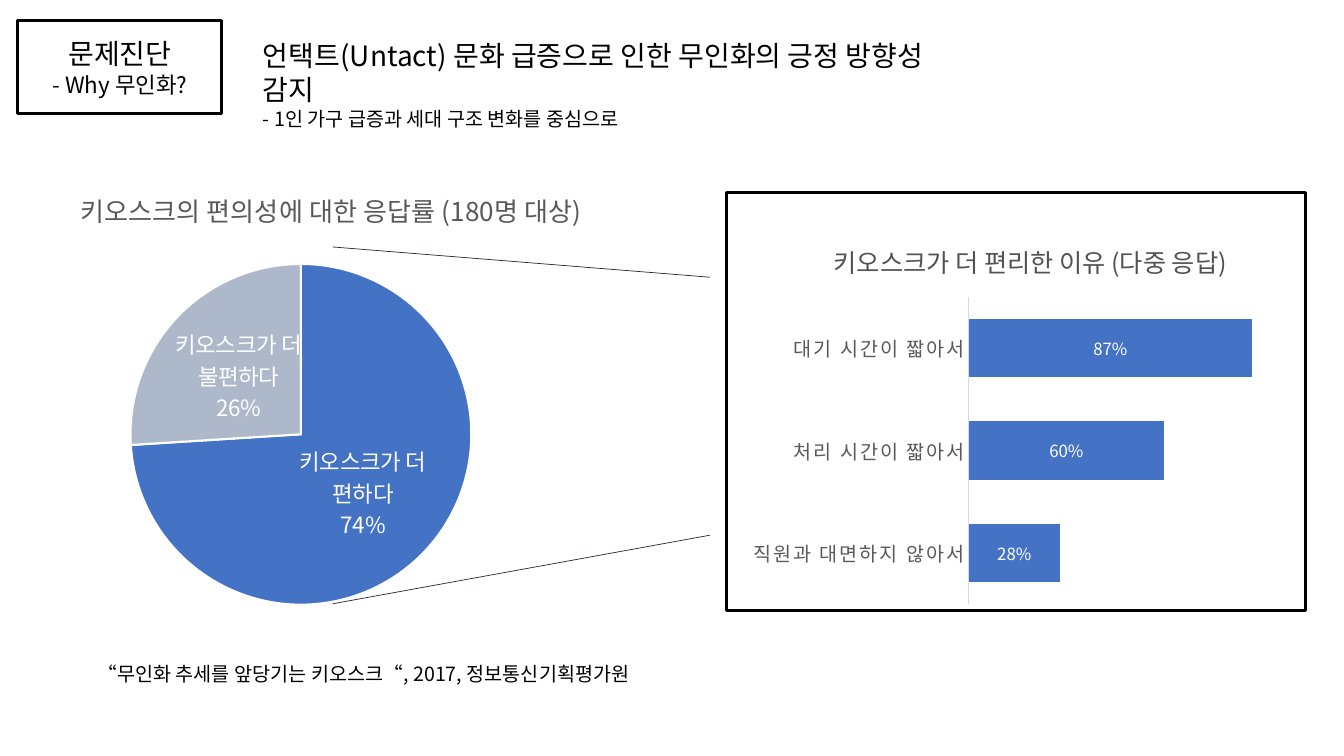
from lxml import etree
from pptx import Presentation
from pptx.chart.data import CategoryChartData
from pptx.dml.color import RGBColor
from pptx.enum.chart import XL_CHART_TYPE as ChartType
from pptx.enum.chart import XL_LABEL_POSITION as LabelPosition
from pptx.enum.chart import XL_TICK_MARK as TickMark
from pptx.enum.shapes import MSO_CONNECTOR as Connector
from pptx.enum.shapes import MSO_SHAPE as Shape
from pptx.enum.text import PP_ALIGN as Align
from pptx.oxml.ns import qn
from pptx.util import Inches, Pt

# Content
FONT = "Noto Sans CJK KR"
COLORS = {
    "black": "000000", "white": "FFFFFF", "blue": "4472C4", "pale": "ADB9CA",
    "grey": "595959", "caption": "525252", "axis": "D9D9D9", "guide": "222A35",
}
# (left, top, width, height), alignment, colour, [(text, size)]
TEXTS = [
    ((2.51, 0.33, 7.2, 0.67), Align.LEFT, "black",
     [("언택트(Untact) 문화 급증으로 인한 무인화의 긍정 방향성 감지", 20),
      ("- 1인 가구 급증과 세대 구조 변화를 중심으로", 14)]),
    ((0.87, 6.51, 9.3, 0.34), Align.LEFT, "black",
     [("“무인화 추세를 앞당기는 키오스크“, 2017, 정보통신기획평가원", 14)]),
    ((8.17, 2.4, 4.78, 0.4), Align.LEFT, "caption",
     [("키오스크가 더 편리한 이유 (다중 응답)", 18)]),
    ((0.23, 0.31, 1.92, 0.71), Align.CENTER, "black",
     [("문제진단", 20), ("- Why 무인화?", 16)]),
]
REASONS = {"대기 시간이 짧아서": 0.87, "처리 시간이 짧아서": 0.6, "직원과 대면하지 않아서": 0.28}
ANSWERS = {"키오스크가 더 편하다": 74, "키오스크가 더 불편하다": 26}
ANSWER_COLORS = ["blue", "pale"]
PIE_TITLE = "키오스크의 편의성에 대한 응답률 (180명 대상)"

# Places
BAR_AREA = (7.38, 2.88, 5.57, 3.18)
PIE_AREA = (-0.62, 1.63, 7.21, 4.6)
FRAMES = [(0.17, 0.2, 2.03, 0.93), (7.21, 1.91, 5.74, 4.15)]
GUIDE_ENDS = (3.3, 7.04)
GUIDE_HEIGHTS = [(2.45, 2.75), (5.99, 5.31)]
LINE_HEIGHT = 1.22


def color(name):
    return RGBColor.from_string(COLORS[name])


def inches(lengths):
    return [Inches(length) for length in lengths]


def style(font, size, name):
    font.name = FONT
    font.size = Pt(size)
    font.bold = False
    font.color.rgb = color(name)


def add_span(para, text, size, name):
    span = para.add_run()
    span.text = text
    style(span.font, size, name)
    east_asian = etree.SubElement(span.font._element, qn("a:ea"))
    east_asian.set("typeface", FONT)


def add_text(area, align, name, lines):
    box = page.shapes.add_textbox(*inches(area))
    frame = box.text_frame
    frame.word_wrap = True
    for index, (text, size) in enumerate(lines):
        para = frame.add_paragraph() if index else frame.paragraphs[0]
        para.alignment = align
        para.line_spacing = Pt(round(size * LINE_HEIGHT, 1))
        add_span(para, text, size, name)


def place(parent, index, **shares):
    """Fix a chart part at shares of the chart's size."""
    for old in parent.findall(qn("c:layout")):
        parent.remove(old)
    layout = etree.Element(qn("c:layout"))
    manual = etree.SubElement(layout, qn("c:manualLayout"))
    settings = {"xMode": "edge", "yMode": "edge", **shares}
    if "w" in shares:
        settings = {"layoutTarget": "inner", **settings}
    for tag, value in settings.items():
        etree.SubElement(manual, qn(f"c:{tag}")).set("val", str(value))
    parent.insert(index, layout)


def add_chart(kind, area, values, number_format, **plot_shares):
    data = CategoryChartData(number_format=number_format)
    data.categories = list(values)
    data.add_series("Series 1", list(values.values()))
    chart = page.shapes.add_chart(kind, *inches(area), data).chart
    style(chart.font, 10, "black")
    chart.has_legend = False
    chart.has_title = False
    place(chart.element.find(".//" + qn("c:plotArea")), 0, **plot_shares)
    return chart


def add_labels(plot, size):
    plot.has_data_labels = True
    labels = plot.data_labels
    style(labels.font, size, "white")
    labels.position = LabelPosition.CENTER
    return labels


deck = Presentation()
deck.slide_width, deck.slide_height = Inches(13.33), Inches(7.5)
page = deck.slides.add_slide(deck.slide_layouts[6])

# Bar chart of reasons
bars = add_chart(ChartType.BAR_STACKED, BAR_AREA, REASONS, "0%", x=0.4, y=0.02, w=0.58, h=0.96)
bar_plot = bars.plots[0]
bar_plot.gap_width, bar_plot.overlap = 75, 100
bar_plot.vary_by_categories = False
bar_fill = bar_plot.series[0].format.fill
bar_fill.solid()
bar_fill.fore_color.rgb = color("blue")
bar_labels = add_labels(bar_plot, 12)
bar_labels.show_value = True
bar_labels.number_format = "0%"
bar_labels.number_format_is_linked = False

reason_axis = bars.category_axis
reason_axis.reverse_order = True
reason_axis.has_major_gridlines = False
reason_axis.major_tick_mark = reason_axis.minor_tick_mark = TickMark.NONE
reason_axis.format.line.color.rgb = color("axis")
reason_axis.format.line.width = Pt(0.75)
style(reason_axis.tick_labels.font, 14, "grey")
bars.element.xpath(".//c:catAx/c:txPr//a:defRPr")[0].set("spc", "120")
share_axis = bars.value_axis
share_axis.minimum_scale, share_axis.maximum_scale = 0, 1
share_axis.has_major_gridlines = False
share_axis.visible = False

# Pie chart of answers
pie = add_chart(ChartType.PIE, PIE_AREA, ANSWERS, "General", x=0.265, y=0.215, w=0.47, h=0.735)
pie.has_title = True
title = pie.chart_title
add_span(title.text_frame.paragraphs[0], PIE_TITLE, 18.6, "grey")
place(title.element, 1, x=0.19, y=0.04)
pie_plot = pie.plots[0]
pie_plot.vary_by_categories = True
for index, name in enumerate(ANSWER_COLORS):
    piece = pie_plot.series[0].points[index].format
    piece.fill.solid()
    piece.fill.fore_color.rgb = color(name)
    piece.line.color.rgb = color("white")
    piece.line.width = Pt(1.5)
pie_labels = add_labels(pie_plot, 16)
pie_labels.show_category_name = True
pie_labels.show_percentage = True
pie_labels.show_value = False
separator = etree.Element(qn("c:separator"))
separator.text = "\n"
pie_labels._element.find(qn("c:showBubbleSize")).addnext(separator)

# Guide lines from the pie to the reasons
for start, end in GUIDE_HEIGHTS:
    guide = page.shapes.add_connector(
        Connector.STRAIGHT, *inches((GUIDE_ENDS[0], start, GUIDE_ENDS[1], end)))
    guide.line.color.rgb = color("guide")
    guide.line.width = Pt(0.5)
    etree.SubElement(guide._element.spPr, qn("a:effectLst"))

# Frames and texts
for area in FRAMES:
    frame = page.shapes.add_shape(Shape.RECTANGLE, *inches(area))
    frame.shadow.inherit = False
    frame.fill.background()
    frame.line.color.rgb = color("black")
    frame.line.width = Pt(2)
for text in TEXTS:
    add_text(*text)

deck.save("out.pptx")
